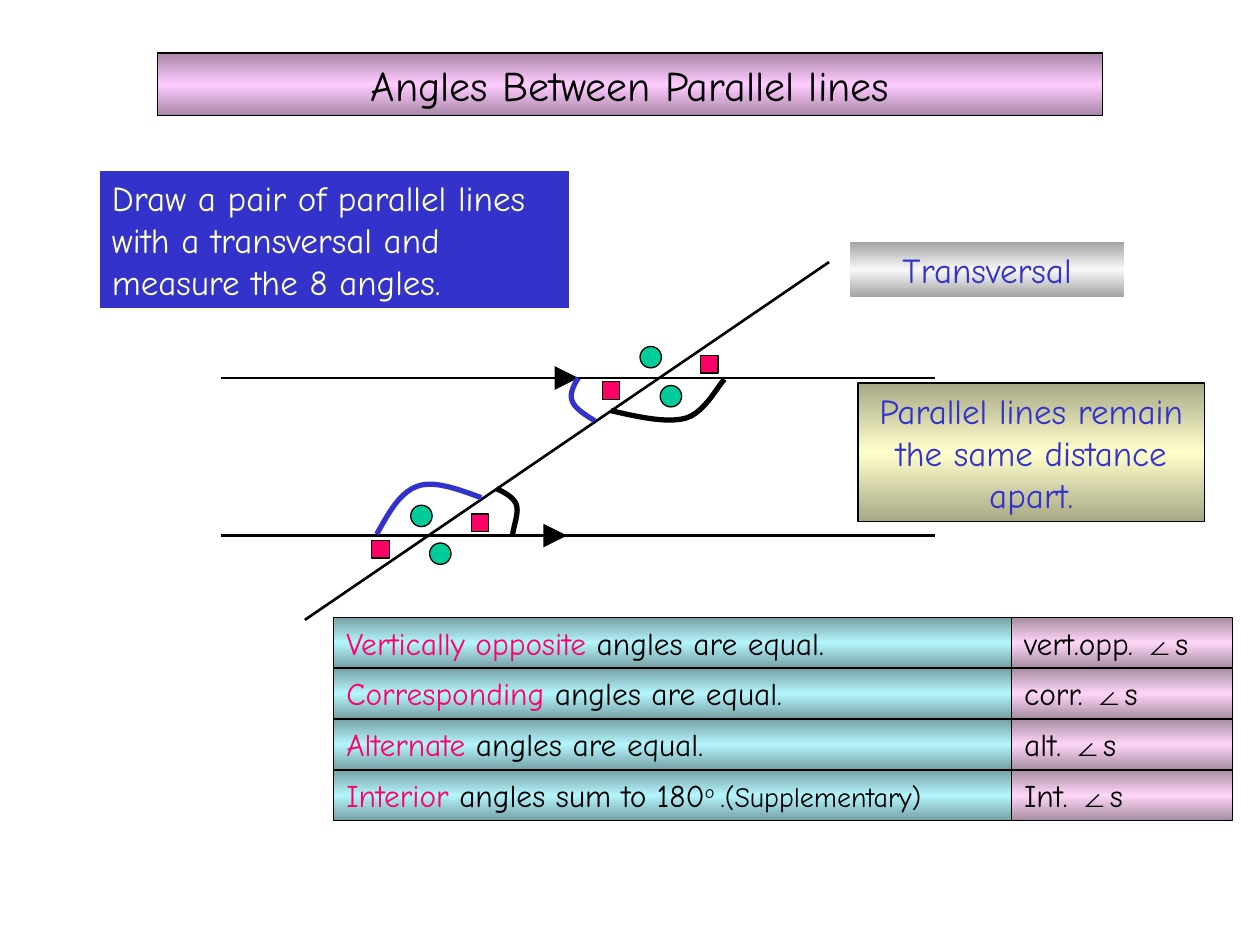
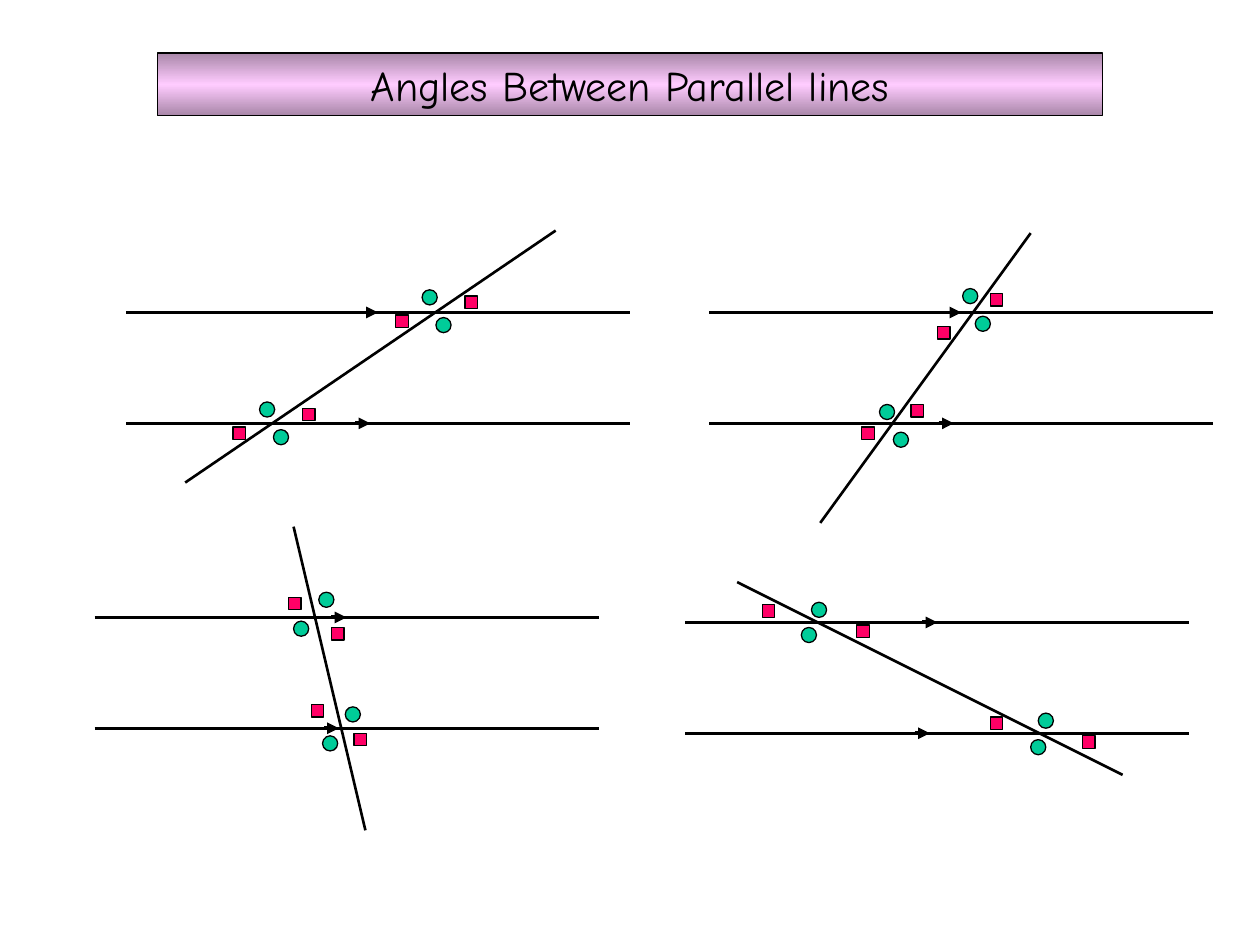
from copy import deepcopy

from pptx import Presentation
from pptx.dml.color import RGBColor
from pptx.enum.shapes import MSO_CONNECTOR, MSO_SHAPE
from pptx.enum.text import MSO_ANCHOR, MSO_AUTO_SIZE, PP_ALIGN
from pptx.oxml.ns import qn
from pptx.util import Inches, Pt

STRAIGHT = MSO_CONNECTOR.STRAIGHT
RECT, OVAL = MSO_SHAPE.RECTANGLE, MSO_SHAPE.OVAL
LEFT, CENTER = PP_ALIGN.LEFT, PP_ALIGN.CENTER
TOP, GROW = MSO_ANCHOR.TOP, MSO_AUTO_SIZE.SHAPE_TO_FIT_TEXT

BLACK = RGBColor(0x00, 0x00, 0x00)
BLUE = RGBColor(0x33, 0x33, 0xCC)
CREAM = RGBColor(0xFF, 0xFF, 0xCC)
GREEN = RGBColor(0x00, 0xCC, 0x99)
PINK = RGBColor(0xFF, 0x00, 0x66)

# Bands run from the dark edge to the light middle and back
LILAC_BAND = (RGBColor(0xA8, 0x86, 0xA8), RGBColor(0xFF, 0xCC, 0xFF))
SAND_BAND = (RGBColor(0xA8, 0xA8, 0x86), CREAM)
SILVER_BAND = (RGBColor(0xA3, 0xA3, 0xA3), RGBColor(0xF8, 0xF8, 0xF8))
AQUA_BAND = (RGBColor(0x76, 0xA1, 0xA6), RGBColor(0xB4, 0xF5, 0xFC))
ROSE_BAND = (RGBColor(0xA7, 0x8D, 0xA3), RGBColor(0xFE, 0xD6, 0xF7))

FONT, SYMBOL_FONT = "Comic Neue", "Arial"
COLUMNS, ROWS = 10, 7.5
TITLE = "Angles Between Parallel lines"


class Lesson:
    """Holds the style and the current slide; lengths are grid columns and rows."""

    def __init__(self):
        self.deck = Presentation()
        self.deck.slide_width, self.deck.slide_height = Inches(10), Inches(7.5)
        self.column = self.deck.slide_width / COLUMNS
        self.row = self.deck.slide_height / ROWS

    def new_slide(self):
        self.slide = self.deck.slides.add_slide(self.deck.slide_layouts[6])
        self.label((1.25, 0.42, 7.5, 0.5), [(TITLE, BLACK)], 24, LILAC_BAND, align=CENTER)

    def point(self, x, y):
        return round(x * self.column), round(y * self.row)

    def shape(self, kind, box, fill, outline=BLACK):
        x, y, width, height = box
        shape = self.slide.shapes.add_shape(kind, *self.point(x, y), *self.point(width, height))
        shape.shadow.inherit = False
        if isinstance(fill, RGBColor):
            shape.fill.solid()
            shape.fill.fore_color.rgb = fill
        else:
            self.band(shape, *fill)
        if outline is None:
            shape.line.fill.background()
        else:
            shape.line.color.rgb = outline
            shape.line.width = Pt(0.75)
        return shape

    def band(self, shape, edge, middle):
        shape.fill.gradient()
        shape.fill.gradient_angle = 270
        stops = shape._element.spPr.find(".//" + qn("a:gsLst"))
        stops.insert(1, deepcopy(stops[0]))
        for stop, color, position in zip(shape.fill.gradient_stops,
                                         (edge, middle, edge), (0, 0.5, 1)):
            stop.color.rgb = color
            stop.position = position

    def label(self, box, pieces, size, fill, outline=BLACK, align=LEFT):
        """Each piece is its text, its colour and any settings of its own."""
        frame = self.shape(RECT, box, fill, outline).text_frame
        frame.word_wrap = True
        frame.auto_size = GROW
        frame.vertical_anchor = TOP
        paragraph = frame.paragraphs[0]
        paragraph.alignment = align
        for text, color, *settings in pieces:
            own = settings[0] if settings else {}
            run = paragraph.add_run()
            run.text = text
            run.font.name = own.get("font", FONT)
            run.font.size = Pt(own.get("size", size))
            run.font.color.rgb = color
            if "raised" in own:
                run.font._element.set("baseline", str(own["raised"] * 1000))

    def line(self, start, end, weight=1.5, arrow=False):
        line = self.slide.shapes.add_connector(STRAIGHT, *self.point(*start), *self.point(*end))
        line.line.color.rgb = BLACK
        line.line.width = Pt(weight)
        properties = line._element.spPr
        if arrow:
            head = line.line._get_or_add_ln()
            head.append(head.makeelement(qn("a:tailEnd"), {"type": "triangle"}))
        properties.append(properties.makeelement(qn("a:effectLst"), {}))

    def parallels(self, x, y, length, gap, arrow_starts, arrow_length, arrow_weight):
        levels = (y, y + gap)
        for level in levels:
            self.line((x, level), (x + length, level))
        for start, level in zip(arrow_starts, levels):
            self.line((x + start, level), (x + start + arrow_length, level), arrow_weight, True)

    def angle_marks(self, circles, squares, circle_size, square_size):
        for kind, corners, size, color in ((OVAL, circles, circle_size, GREEN),
                                           (RECT, squares, square_size, PINK)):
            for corner in corners:
                self.shape(kind, (*corner, size, size), color)

    def arc(self, color, start, *curves, steps=10):
        """Joins cubic curves, each given as two controls and an end."""
        points, origin = [], start
        for first, second, end in curves:
            for step in range(1, steps + 1):
                t = step / steps
                weights = ((1 - t) ** 3, 3 * t * (1 - t) ** 2, 3 * t * t * (1 - t), t ** 3)
                points.append(self.point(*(
                    sum(w * p[axis] for w, p in zip(weights, (origin, first, second, end)))
                    for axis in (0, 1))))
            origin = end
        builder = self.slide.shapes.build_freeform(*self.point(*start))
        builder.add_line_segments(points, close=False)
        arc = builder.convert_to_shape()
        arc.shadow.inherit = False
        arc.fill.background()
        arc.line.color.rgb = color
        arc.line.width = Pt(3)


# Angle rules: highlighted name, rest of the sentence, short form
RULES = [
    ("Vertically opposite", [(" angles are equal.", BLACK)], "vert.opp. "),
    ("Corresponding", [(" angles are equal.", BLACK)], "corr. "),
    ("Alternate ", [("angles are equal.", BLACK)], "alt. "),
    ("Interior ", [("angles sum to 180", BLACK), ("o ", BLACK, {"raised": 30}),
                   (".(Supplementary)", BLACK, {"size": 16})], "Int. "),
]

# Practice diagrams: left end of the upper parallel, transversal, circles, squares
PRACTICE = [
    ((1, 2.48), ((1.47, 3.83), (4.41, 1.83)),
     [(3.35, 2.3), (3.46, 2.52), (2.06, 3.19), (2.17, 3.41)],
     [(3.69, 2.35), (3.14, 2.5), (2.4, 3.24), (1.85, 3.39)]),
    ((5.63, 2.48), ((6.51, 4.15), (8.18, 1.85)),
     [(7.64, 2.29), (7.74, 2.51), (6.98, 3.21), (7.09, 3.43)],
     [(7.86, 2.33), (7.44, 2.59), (7.23, 3.21), (6.84, 3.39)]),
    ((0.75, 4.9), ((2.9, 6.59), (2.33, 4.18)),
     [(2.53, 4.7), (2.33, 4.93), (2.74, 5.61), (2.56, 5.84)],
     [(2.29, 4.74), (2.63, 4.98), (2.47, 5.59), (2.81, 5.82)]),
    ((5.44, 4.94), ((8.91, 6.15), (5.85, 4.62)),
     [(6.44, 4.78), (6.36, 4.98), (8.24, 5.66), (8.18, 5.87)],
     [(6.05, 4.8), (6.8, 4.96), (7.86, 5.69), (8.59, 5.84)]),
]


def angle_rules(lesson):
    lesson.new_slide()

    # Parallel lines and transversal
    lesson.parallels(1.75, 3, 5.67, 1.25, (2.67, 2.58), 0.17, 4.5)
    lesson.label((6.81, 3.04, 2.75, 1.1),
                 [("Parallel lines remain the same distance apart.", BLUE)],
                 20, SAND_BAND, align=CENTER)
    lesson.line((2.42, 4.92), (6.58, 2.08))
    lesson.label((6.75, 1.92, 2.17, 0.44), [("Transversal", BLUE)],
                 20, SILVER_BAND, None, CENTER)

    # Equal angles
    lesson.angle_marks([(5.08, 2.75), (5.24, 3.06), (3.26, 4.01), (3.41, 4.31)],
                       [(5.56, 2.82), (4.78, 3.03), (3.74, 4.08), (2.95, 4.29)], 0.17, 0.14)

    # Task
    lesson.label((0.79, 1.35, 3.73, 1.1),
                 [("Draw a pair of parallel lines with a transversal "
                   "and measure the 8 angles.", CREAM)], 20, BLUE, CREAM)

    # Interior angle arcs
    lesson.arc(BLACK, (4.85, 3.26), ((5.07, 3.31), (5.29, 3.36), (5.44, 3.32)),
               ((5.59, 3.28), (5.7, 3.06), (5.75, 3.01)))
    lesson.arc(BLACK, (3.94, 3.88), ((4.01, 3.91), (4.08, 3.95), (4.1, 4.01)),
               ((4.12, 4.07), (4.07, 4.2), (4.07, 4.24)))
    lesson.arc(BLUE, (2.99, 4.24), ((3.08, 4.08), (3.17, 3.91), (3.31, 3.86)),
               ((3.44, 3.81), (3.63, 3.88), (3.82, 3.95)))
    lesson.arc(BLUE, (4.59, 3), ((4.55, 3.06), (4.52, 3.13), (4.54, 3.18)),
               ((4.56, 3.24), (4.64, 3.29), (4.72, 3.34)))

    # Rules with their short forms
    for index, (name, sentence, short_form) in enumerate(RULES):
        top = 4.9 + index * 0.404
        lesson.label((2.65, top, 5.4, 0.4), [(name, PINK), *sentence], 18, AQUA_BAND)
        lesson.label((8.03, top, 1.75, 0.4),
                     [(short_form, BLACK), ("∠", BLACK, {"font": SYMBOL_FONT}), ("s", BLACK)],
                     18, ROSE_BAND)


def practice(lesson):
    lesson.new_slide()
    for corner, transversal, circles, squares in PRACTICE:
        lesson.parallels(*corner, 4, 0.88, (1.88, 1.82), 0.12, 2.25)
        lesson.line(*transversal)
        lesson.angle_marks(circles, squares, 0.12, 0.1)


def main():
    lesson = Lesson()
    angle_rules(lesson)
    practice(lesson)
    lesson.deck.save("out.pptx")


if __name__ == "__main__":
    main()
